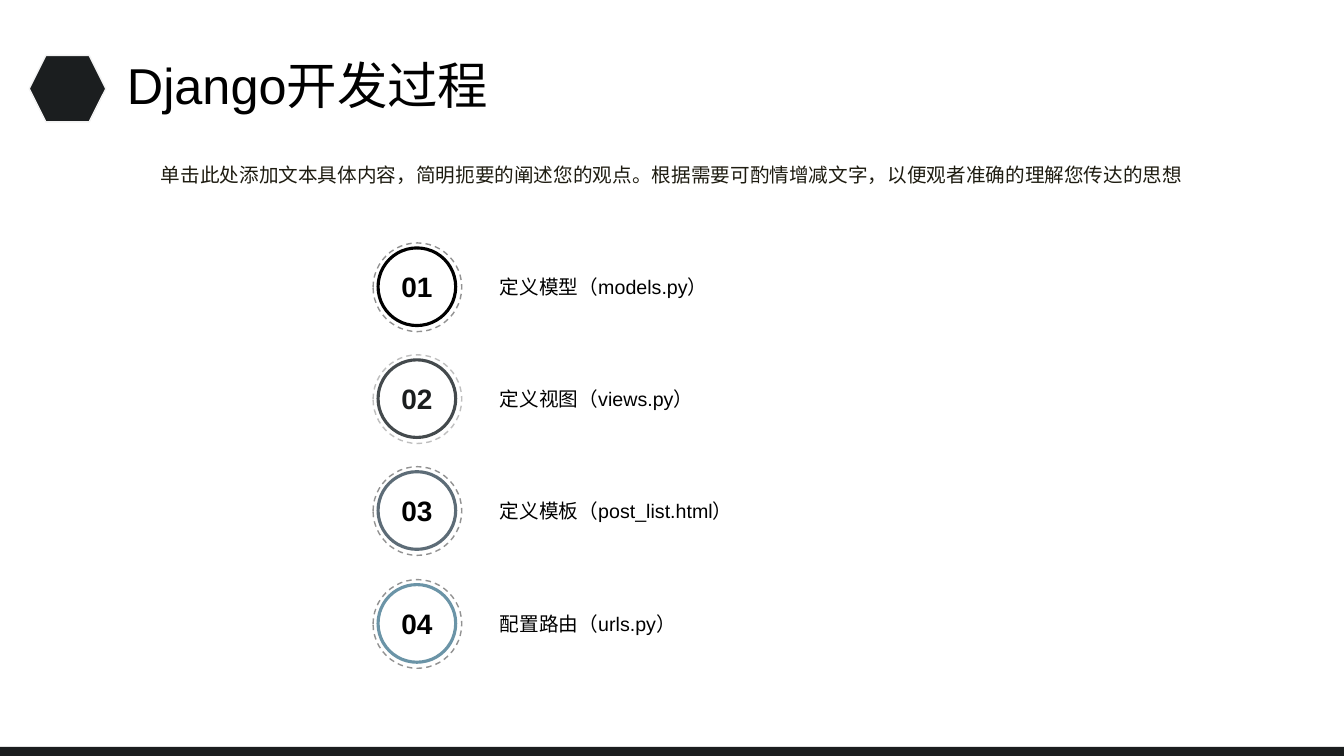
from dataclasses import dataclass

from pptx import Presentation
from pptx import util as u
from pptx.dml.color import RGBColor
from pptx.enum import dml, shapes, text

PX = 9144  # EMU per px, 100 px to the inch
FONT = "Arial"
COLORS = {
    "dark": "1B1E1F",
    "black": "000000",
    "intro": "1E1C11",
    "pale": "F2F2F2",
    "dash": "929292",
    "light_dash": "BFBFBF",
    "slate": "444A4D",
    "steel": "5D6C77",
    "blue": "6B94A7",
}


@dataclass(frozen=True)
class Box:
    left: int
    top: int
    width: int
    height: int

    def emu(self) -> list[int]:
        return [v * PX for v in (self.left, self.top, self.width, self.height)]


@dataclass(frozen=True)
class Step:
    label: str
    ring: str
    number_color: str = "black"
    dash: str = "dash"


STEPS = [
    Step("定义模型（models.py）", "black"),
    Step("定义视图（views.py）", "slate", "dark", "light_dash"),
    Step("定义模板（post_list.html）", "steel"),
    Step("配置路由（urls.py）", "blue"),
]
STEPS_TOP, STEPS_BOTTOM = 241, 575  # tops of the first and last outer rings


def rgb(name: str) -> RGBColor:
    return RGBColor.from_string(COLORS[name])


def add_shape(parent, kind, box: Box, fill: str = "", line: str = "", weight: float = 1):
    sp = parent.shapes.add_shape(kind, *box.emu())
    sp.shadow.inherit = False
    if fill:
        sp.fill.solid()
        sp.fill.fore_color.rgb = rgb(fill)
    else:
        sp.fill.background()
    if line:
        sp.line.color.rgb = rgb(line)
        sp.line.width = u.Pt(weight)
    else:
        sp.line.fill.background()
    return sp


def write(sp, content: str, size: int, color: str, spacing: float = 1,
          align=text.PP_ALIGN.LEFT, anchor=text.MSO_ANCHOR.TOP, bold: bool = False) -> None:
    tf = sp.text_frame
    tf.word_wrap = True
    tf.vertical_anchor = anchor
    p = tf.paragraphs[0]
    p.alignment = align
    p.line_spacing = spacing
    r = p.add_run()
    r.text = content
    r.font.name = FONT
    r.font.size = u.Pt(size)
    r.font.bold = bold
    r.font.color.rgb = rgb(color)


def add_text(parent, box: Box, content: str, size: int, color: str, **style) -> None:
    write(parent.shapes.add_textbox(*box.emu()), content, size, color, **style)


def add_step(slide, number: int, step: Step, top: int) -> None:
    group = slide.shapes.add_group_shape()
    oval = shapes.MSO_SHAPE.OVAL
    # Solid ring with its number
    ring = add_shape(group, oval, Box(375, top + 5, 77, 77), line=step.ring, weight=2.25)
    ring.text_frame.margin_left = ring.text_frame.margin_right = 0
    write(ring, f"{number:02d}", 20, step.number_color, bold=True,
          align=text.PP_ALIGN.CENTER, anchor=text.MSO_ANCHOR.MIDDLE)
    # Dashed outer ring
    outer = add_shape(group, oval, Box(370, top, 88, 88), line=step.dash)
    outer.line.dash_style = dml.MSO_LINE.DASH
    # Label
    add_text(group, Box(486, top + 20, 582, 48), step.label, 14, "black", spacing=1.3)


def main() -> None:
    prs = Presentation()
    prs.slide_width, prs.slide_height = 1333 * PX, 750 * PX
    slide = prs.slides.add_slide(prs.slide_layouts[6])

    # Footer bar and title marker
    add_shape(slide, shapes.MSO_SHAPE.RECTANGLE, Box(0, 741, 1333, 10), fill="dark")
    add_shape(slide, shapes.MSO_SHAPE.HEXAGON, Box(29, 55, 76, 66), fill="dark", line="pale")

    # Numbered steps, evenly spaced
    for i, step in enumerate(STEPS):
        top = STEPS_TOP + (STEPS_BOTTOM - STEPS_TOP) * i // (len(STEPS) - 1)
        add_step(slide, i + 1, step, top)

    # Title and introduction
    add_text(slide, Box(116, 60, 452, 56), "Django开发过程", 36, "black",
             spacing=0.9, anchor=text.MSO_ANCHOR.MIDDLE)
    add_text(slide, Box(149, 147, 1035, 54),
             "单击此处添加文本具体内容，简明扼要的阐述您的观点。"
             "根据需要可酌情增减文字，以便观者准确的理解您传达的思想",
             14, "intro", spacing=1.4, align=text.PP_ALIGN.CENTER)

    prs.save("out.pptx")


if __name__ == "__main__":
    main()
